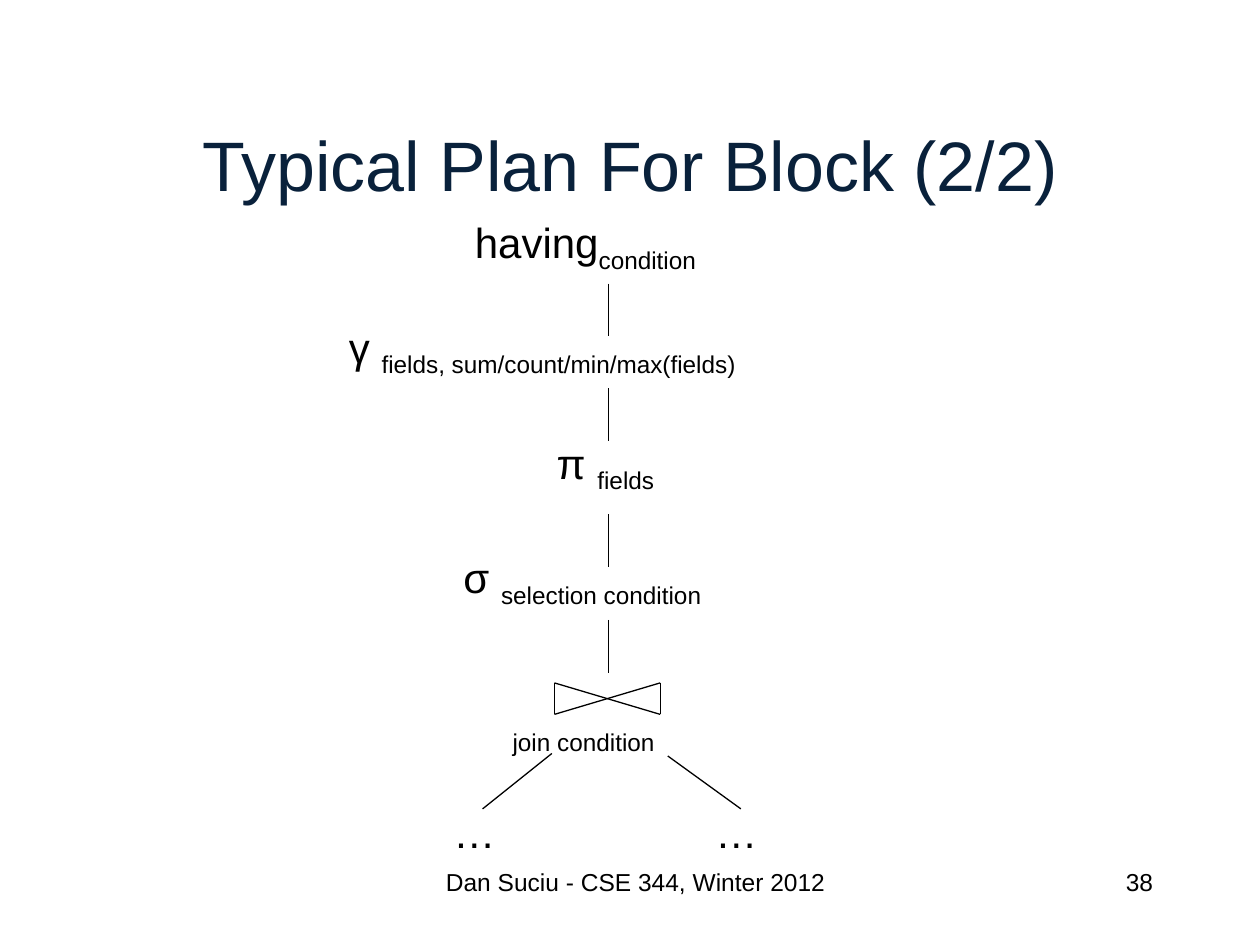
import pptx
import pptx.dml.color
import pptx.enum.shapes
import pptx.enum.text
import pptx.oxml
import pptx.oxml.ns
import pptx.util

Inches = pptx.util.Inches
ALIGN = pptx.enum.text.PP_ALIGN
COLORS = {"title": "09213B", "ink": "000000"}
FONT = "Arial"
AXIS = 4.83  # the vertical line of the plan tree


def format_font(paragraph, size, color="ink"):
    """Set typeface, size and colour of a paragraph."""
    paragraph.font.name = FONT
    paragraph.font.size = pptx.util.Pt(size)
    paragraph.font.color.rgb = pptx.dml.color.RGBColor.from_string(COLORS[color])


def add_title(slide, text):
    """Place and fill the title placeholder."""
    title = slide.shapes.title
    title.left, title.top = Inches(0.75), Inches(0.67)
    title.width, title.height = Inches(8.5), Inches(1.25)
    title.text_frame.text = text
    title.text_frame.vertical_anchor = pptx.enum.text.MSO_ANCHOR.MIDDLE
    paragraph = title.text_frame.paragraphs[0]
    paragraph.alignment = ALIGN.CENTER
    format_font(paragraph, 40, "title")


def add_text_box(slide, left, top, width, height=0.5):
    """Add an empty text box and return its text frame."""
    box = slide.shapes.add_textbox(
        Inches(left), Inches(top), Inches(width), Inches(height))
    return box.text_frame


def add_footer(slide, text, left, width, alignment):
    """Add one text of the bottom row."""
    frame = add_text_box(slide, left, 6.83, width)
    frame.word_wrap = True
    paragraph = frame.paragraphs[0]
    paragraph.text = text
    paragraph.alignment = alignment
    format_font(paragraph, 14)


def add_operator(slide, symbol, subscript, left, top, width, height=0.5):
    """Add a plan operator with its subscript; either part may be empty."""
    frame = add_text_box(slide, left, top, width, height)
    frame.word_wrap = False
    frame.auto_size = pptx.enum.text.MSO_AUTO_SIZE.SHAPE_TO_FIT_TEXT
    paragraph = frame.paragraphs[0]
    format_font(paragraph, 24)
    if symbol:
        paragraph.add_run().text = symbol
    if subscript:
        run = paragraph.add_run()
        run.text = subscript
        run._r.get_or_add_rPr().set("baseline", "-25000")


def add_line(shapes, start, end):
    """Add a thin straight line to a slide's or group's shapes."""
    line = shapes.add_connector(
        pptx.enum.shapes.MSO_CONNECTOR.STRAIGHT,
        *(Inches(value) for value in (*start, *end)))
    line.line.width = pptx.util.Pt(0.75)
    line.line.color.rgb = pptx.dml.color.RGBColor.from_string(COLORS["ink"])
    line._element.spPr.append(pptx.oxml.parse_xml(
        "<a:effectLst %s/>" % pptx.oxml.ns.nsdecls("a")))


def add_join_symbol(slide, left, top, right, bottom):
    """Draw the bow tie of a join as a group of four lines."""
    group = slide.shapes.add_group_shape()
    for start_x, end_x in ((left, left), (right, right),
                           (left, right), (right, left)):
        add_line(group.shapes, (start_x, top), (end_x, bottom))


def main():
    """Build the slide and save it."""
    presentation = pptx.Presentation()
    presentation.slide_width = Inches(10)
    presentation.slide_height = Inches(7.5)
    slide = presentation.slides.add_slide(presentation.slide_layouts[5])

    add_title(slide, "Typical Plan For Block (2/2)")
    for operator in (
        ("having", "condition", 3.67, 1.67, 2.09),
        ("γ ", "fields, sum/count/min/max(fields)", 2.67, 2.5, 3.68),
        ("π ", "fields", 4.32, 3.42, 0.99),
        ("σ ", "selection condition", 3.58, 4.33, 2.34),
        ("", "join condition", 3.97, 5.5, 1.53, 0.37),
        ("…", "", 3.5, 6.35, 0.54),
        ("…", "", 5.58, 6.35, 0.54),
    ):
        add_operator(slide, *operator)

    for top in (2.25, 3.08, 4.08, 4.92):
        add_line(slide.shapes, (AXIS, top), (AXIS, top + 0.42))
    add_join_symbol(slide, 4.4, 5.42, 5.24, 5.67)
    add_line(slide.shapes, (4.38, 5.98), (3.83, 6.42))
    add_line(slide.shapes, (5.3, 6), (5.88, 6.42))

    add_footer(slide, "Dan Suciu - CSE 344, Winter 2012", 3.17, 3.75, ALIGN.CENTER)
    add_footer(slide, "38", 7.17, 2.08, ALIGN.RIGHT)
    presentation.save("out.pptx")


main()
